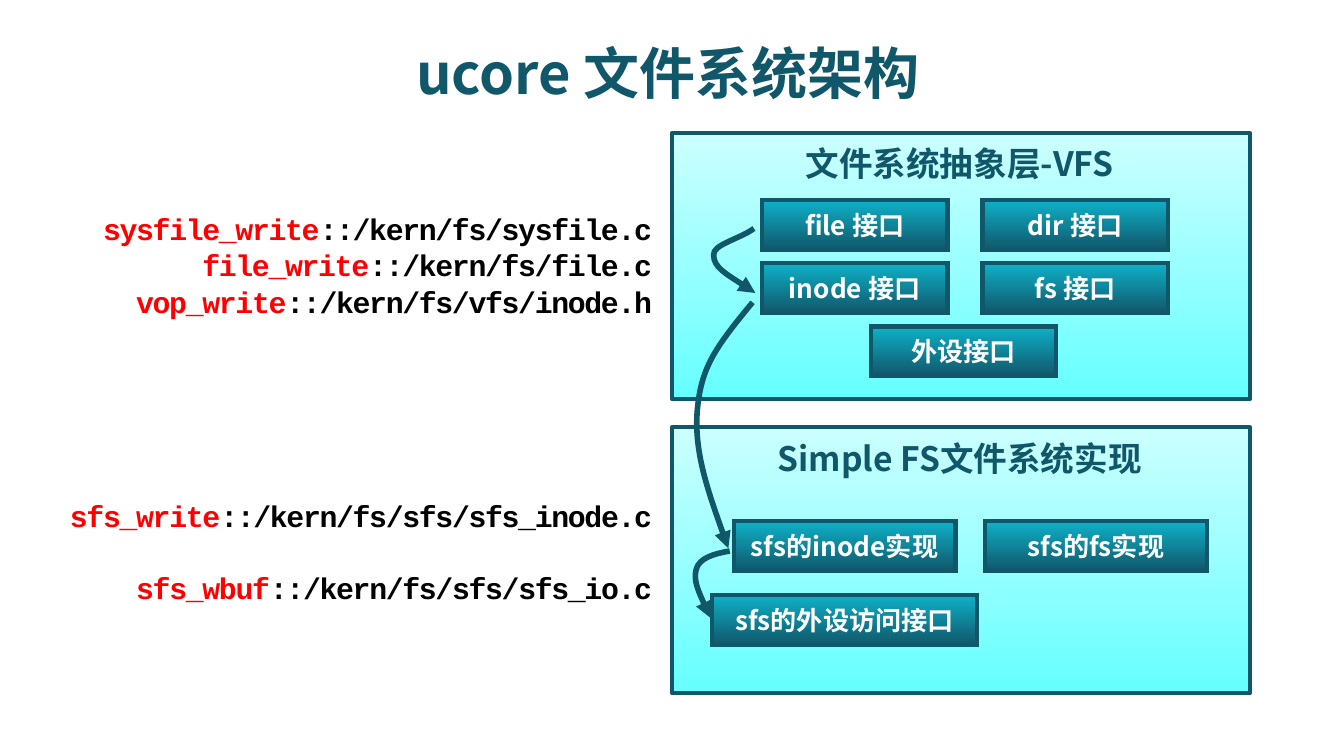
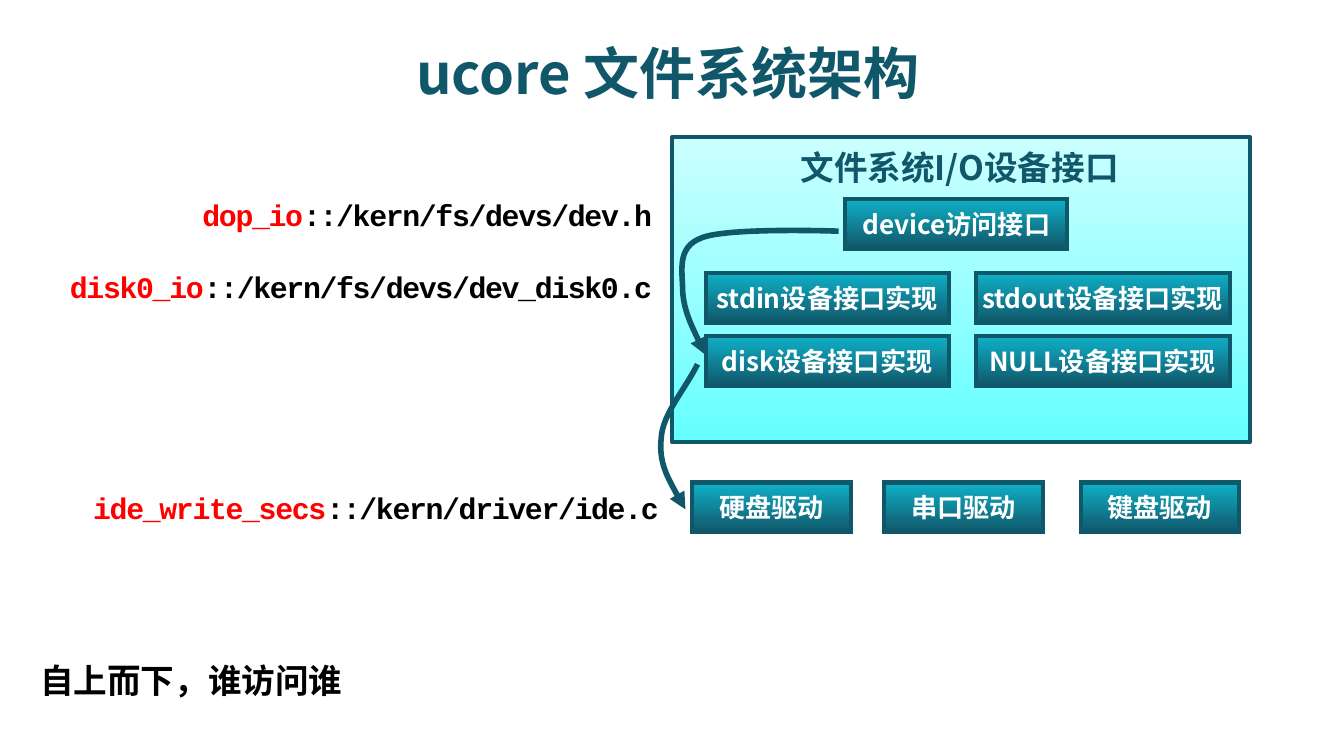
from lxml import etree
from pptx import Presentation
from pptx.dml.color import RGBColor
from pptx.enum.shapes import MSO_SHAPE
from pptx.enum.text import MSO_ANCHOR, MSO_AUTO_SIZE, PP_ALIGN
from pptx.oxml.ns import qn
from pptx.util import Pt

PX = 9144  # 100 px to the inch
SANS, SANS_JP, MONO = "Noto Sans CJK SC", "Noto Sans CJK JP", "Courier New"
TEAL, WHITE, RED, BLACK = "11576A", "FFFFFF", "FF0000", "000000"
PANEL_GRADIENT = ("CCFFFF", "66FFFF")
BOX_GRADIENT = ("0EB1C8", TEAL)
BOX_HEIGHT = 37
TITLE = "ucore 文件系统架构"

# Per slide: panels (top, height, heading), boxes (left, top, width, label),
# calls (left, top, width, height, lines, gap in points),
# arrows (points of cubic curves, with the arrowhead on the first point)
architecture = [
    {
        "panels": [(99, 198, "文件系统抽象层-VFS"), (318, 198, "Simple FS文件系统实现")],
        "boxes": [
            (567, 149, 138, "file 接口"), (731, 149, 138, "dir 接口"),
            (567, 196, 138, "inode 接口"), (731, 196, 138, "fs 接口"),
            (648, 243, 138, "外设接口"),
            (546, 388, 165, "sfs的inode实现"), (733, 388, 165, "sfs的fs实现"),
            (530, 443, 197, "sfs的外设访问接口"),
        ],
        "calls": [
            (62, 152, 433, 91, ["sysfile_write::/kern/fs/sysfile.c",
                                "file_write::/kern/fs/file.c",
                                "vop_write::/kern/fs/vfs/inode.h"], 0),
            (37, 365, 458, 91, ["sfs_write::/kern/fs/sfs/sfs_inode.c",
                                "sfs_wbuf::/kern/fs/sfs/sfs_io.c"], 19.3),
        ],
        "arrows": [
            [(562, 218), (547, 208), (531, 199), (531, 190),
             (530, 182), (550, 178), (561, 170)],
            [(542, 408), (529, 372), (516, 335), (519, 304),
             (522, 274), (531, 260), (560, 225)],
            [(529, 460), (522, 446), (516, 432), (518, 424),
             (520, 415), (532, 412), (543, 410)],
        ],
    },
    {
        "panels": [(102, 227, "文件系统I/O设备接口")],
        "boxes": [
            (629, 148, 165, "device访问接口"),
            (525, 203, 181, "stdin设备接口实现"), (726, 203, 189, "stdout设备接口实现"),
            (525, 250, 181, "disk设备接口实现"), (726, 250, 189, "NULL设备接口实现"),
            (515, 359, 118, "硬盘驱动"), (658, 359, 118, "串口驱动"),
            (804, 359, 118, "键盘驱动"),
        ],
        "calls": [
            (37, 141, 458, 91, ["dop_io::/kern/fs/devs/dev.h",
                                "disk0_io::/kern/fs/devs/dev_disk0.c"], 19.3),
            (54, 359, 446, 37, ["ide_write_secs::/kern/driver/ide.c"], 0),
        ],
        "arrows": [
            [(525, 264), (517, 248), (509, 231), (508, 217),
             (508, 202), (503, 184), (522, 177),
             (541, 169), (624, 172), (624, 172)],
            [(510, 379), (500, 362), (490, 344), (492, 326),
             (493, 308), (509, 291), (519, 271)],
        ],
        "remark": "自上而下，谁访问谁",
    },
]


def write(shape, text, size, color, font=SANS, align=PP_ALIGN.CENTER, wrap=False):
    frame = shape.text_frame
    frame.text = text
    frame.word_wrap = wrap
    frame.vertical_anchor = MSO_ANCHOR.MIDDLE
    for paragraph in frame.paragraphs:
        paragraph.alignment = align
        for run in paragraph.runs:
            run.font.size = Pt(size)
            run.font.bold = True
            run.font.name = font
            run.font.color.rgb = RGBColor.from_string(color)
            east_asian = etree.SubElement(run.font._element, qn("a:ea"))
            east_asian.set("typeface", font)
    return frame


def add_block(slide, left, top, width, height, gradient):
    block = slide.shapes.add_shape(
        MSO_SHAPE.RECTANGLE, left * PX, top * PX, width * PX, height * PX)
    block.shadow.inherit = False
    block.fill.gradient()
    block.fill.gradient_angle = 270
    for stop, color in zip(block.fill.gradient_stops, gradient):
        stop.color.rgb = RGBColor.from_string(color)
    block.line.color.rgb = RGBColor.from_string(TEAL)
    block.line.width = Pt(2.25)
    return block


deck = Presentation()
deck.slide_width = 1000 * PX
deck.slide_height = deck.slide_width * 9 // 16

for layer in architecture:
    slide = deck.slides.add_slide(deck.slide_layouts[6])

    # Title
    title = slide.shapes.add_textbox(47 * PX, 26 * PX, 900 * PX, 56 * PX)
    write(title, TITLE, 30, TEAL, wrap=True)

    # Panels with their headings
    for top, height, heading_text in layer["panels"]:
        add_block(slide, 500, top, 430, height, PANEL_GRADIENT)
        heading = slide.shapes.add_textbox(542 * PX, (top + 8) * PX, 344 * PX, 29 * PX)
        write(heading, heading_text, 18, TEAL)

    # Interface boxes with sharp corners
    for left, top, width, label in layer["boxes"]:
        interface = add_block(slide, left, top, width, BOX_HEIGHT, BOX_GRADIENT)
        etree.SubElement(interface.line._get_or_add_ln(), qn("a:miter")).set("lim", "800000")
        write(interface, label, 14, WHITE)

    # Function calls: red name, black source file
    for left, top, width, height, lines, gap in layer["calls"]:
        calls = slide.shapes.add_textbox(left * PX, top * PX, width * PX, height * PX)
        frame = write(calls, "\n".join(lines), 16, RED, MONO, PP_ALIGN.RIGHT)
        frame.vertical_anchor = MSO_ANCHOR.TOP
        frame.auto_size = MSO_AUTO_SIZE.SHAPE_TO_FIT_TEXT
        for number, paragraph in enumerate(frame.paragraphs):
            paragraph.line_spacing = Pt(19.3)
            if number and gap:
                paragraph.space_before = Pt(gap)
            function = paragraph.runs[0]
            name, separator, source = function.text.partition("::")
            function.text = name
            location = paragraph.add_run()
            location.text = separator + source
            location.font.size = Pt(16)
            location.font.bold = True
            location.font.name = MONO
            location.font.color.rgb = RGBColor.from_string(BLACK)
            for run in paragraph.runs:
                run.font._element.set("spc", "-70")

    # Curved call arrows
    for points in layer["arrows"]:
        builder = slide.shapes.build_freeform(*points[0], scale=PX)
        builder.add_line_segments(points[1:], close=False)
        arrow = builder.convert_to_shape()
        arrow.shadow.inherit = False
        arrow.fill.background()
        arrow.line.color.rgb = RGBColor.from_string(TEAL)
        arrow.line.width = Pt(3)
        etree.SubElement(arrow.line._get_or_add_ln(), qn("a:headEnd")).set("type", "triangle")
        # Every three straight segments become one cubic curve
        segments = list(arrow._element.iter(qn("a:lnTo")))
        for first in range(0, len(segments), 3):
            curve = etree.SubElement(segments[first].getparent(), qn("a:cubicBezTo"))
            for segment in segments[first:first + 3]:
                curve.append(segment[0])
                segment.getparent().remove(segment)

    # Closing remark
    if "remark" in layer:
        remark = slide.shapes.add_textbox(20 * PX, 486 * PX, 248 * PX, 40 * PX)
        write(remark, layer["remark"], 18, BLACK, SANS_JP, PP_ALIGN.LEFT, wrap=True)

deck.save("out.pptx")
